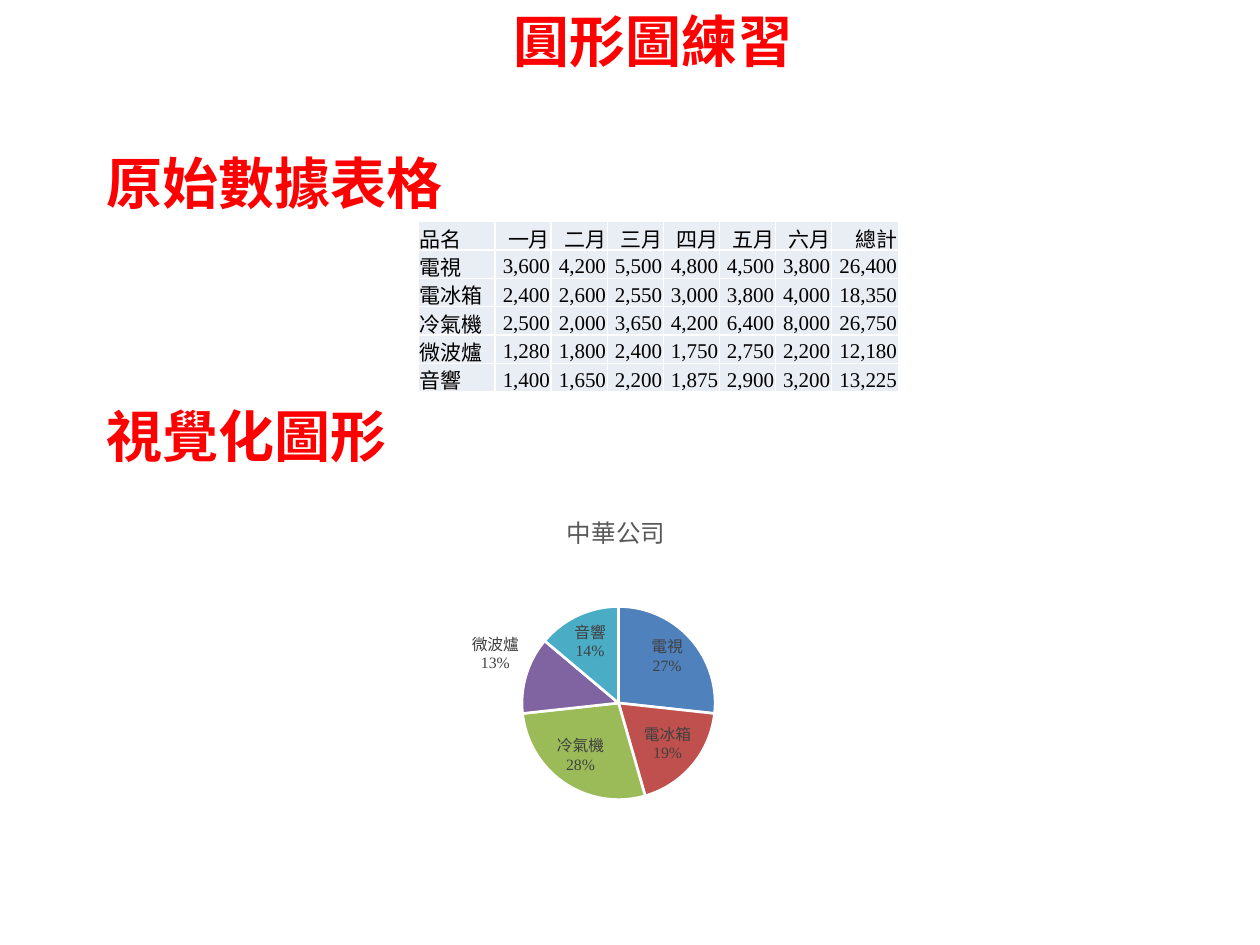
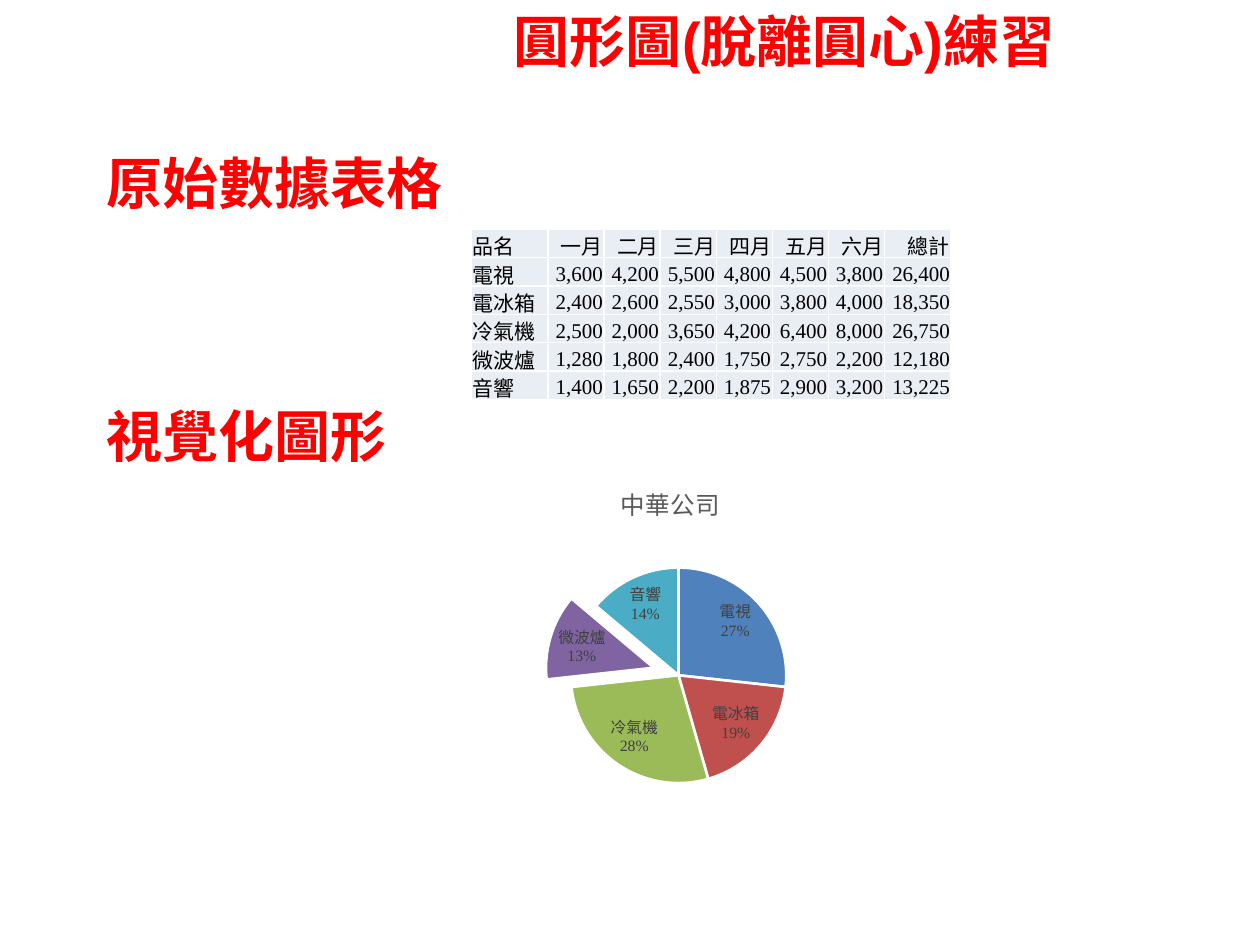
from pptx import Presentation
from pptx import util as u
from pptx.chart.data import CategoryChartData
from pptx.dml.color import RGBColor
from pptx.enum import chart as charts, text
from pptx.oxml import parse_xml
from pptx.oxml.ns import nsdecls, qn

RED, BLACK, WHITE = "FF0000", "000000", "FFFFFF"
CELL_FILL, TITLE_GRAY, LABEL_GRAY = "E9EDF4", "595959", "404040"
SLICE_COLORS = ["4F81BD", "C0504D", "9BBB59", "8064A2", "4BACC6"]
HEADING_FONT, DATA_FONT = "Arial", "Times New Roman"

HEADER = ["品名", "一月", "二月", "三月", "四月", "五月", "六月", "總計"]
SALES = {
    "電視": [3600, 4200, 5500, 4800, 4500, 3800],
    "電冰箱": [2400, 2600, 2550, 3000, 3800, 4000],
    "冷氣機": [2500, 2000, 3650, 4200, 6400, 8000],
    "微波爐": [1280, 1800, 2400, 1750, 2750, 2200],
    "音響": [1400, 1650, 2200, 1875, 2900, 3200],
}
SHARES = [27, 19, 28, 13, 14]
MICROWAVE = 3
TABLE_WIDTH, TABLE_HEIGHT = 3.81, 1.35
NAME_WIDTH, TOTAL_WIDTH = 0.61, 0.53


def rgb(value):
    """Turn a hex string into a colour."""
    return RGBColor.from_string(value)


def style_font(font, name, size, color, bold=False):
    """Set the look of a font."""
    font.name, font.size, font.bold = name, u.Pt(size), bold
    font.color.rgb = rgb(color)


def add_heading(page, words, left, top, width):
    """Add a bold red heading."""
    box = page.shapes.add_textbox(*map(u.Inches, (left, top, width, 0.64)))
    box.text_frame.word_wrap = True
    box.text_frame.auto_size = text.MSO_AUTO_SIZE.SHAPE_TO_FIT_TEXT
    para = box.text_frame.paragraphs[0]
    para.text = words
    style_font(para.font, HEADING_FONT, 32, RED, bold=True)


def add_borders(cell):
    """Give a cell thin white borders, ahead of its fill."""
    properties = cell._tc.get_or_add_tcPr()
    for index, side in enumerate(("lnL", "lnR", "lnT", "lnB")):
        properties.insert(index, parse_xml(
            f'<a:{side} {nsdecls("a")} w="12700"><a:solidFill>'
            f'<a:srgbClr val="{WHITE}"/></a:solidFill></a:{side}>'))


def fill_cell(cell, words, alignment):
    """Write and style one table cell."""
    cell.margin_left = cell.margin_right = cell.margin_top = u.Inches(0.01)
    cell.margin_bottom = 0
    cell.vertical_anchor = text.MSO_ANCHOR.BOTTOM
    cell.fill.solid()
    cell.fill.fore_color.rgb = rgb(CELL_FILL)
    add_borders(cell)
    para = cell.text_frame.paragraphs[0]
    para.text, para.alignment = words, alignment
    style_font(para.font, DATA_FONT, 12, BLACK)


def add_sales_table(page, left, top):
    """Add the monthly sales table with row totals."""
    rows = [HEADER] + [
        [name] + [f"{value:,}" for value in months + [sum(months)]]
        for name, months in SALES.items()]
    frame = page.shapes.add_table(
        len(rows), len(HEADER),
        *map(u.Inches, (left, top, TABLE_WIDTH, TABLE_HEIGHT)))
    table = frame.table
    table.first_row = table.horz_banding = False
    month_width = (TABLE_WIDTH - NAME_WIDTH - TOTAL_WIDTH) / 6
    widths = [NAME_WIDTH] + [month_width] * 6 + [TOTAL_WIDTH]
    for column, width in zip(table.columns, widths):
        column.width = u.Inches(width)
    for r, row in enumerate(rows):
        for c, words in enumerate(row):
            side = text.PP_ALIGN.RIGHT if c else text.PP_ALIGN.LEFT
            fill_cell(table.cell(r, c), words, side)


def place(element, index, **fractions):
    """Give a chart part a manual layout in fractions of the chart."""
    for layout in element.findall(qn("c:layout")):
        element.remove(layout)
    target = '<c:layoutTarget val="inner"/>' if "w" in fractions else ""
    modes = "".join(f'<c:{key}Mode val="edge"/>' for key in "xy")
    values = "".join(f'<c:{key} val="{value}"/>'
                     for key, value in fractions.items())
    element.insert(index, parse_xml(
        f'<c:layout {nsdecls("c")}><c:manualLayout>{target}{modes}{values}'
        '</c:manualLayout></c:layout>'))


def style_title(chart):
    """Write the chart title and place it."""
    para = chart.chart_title.text_frame.paragraphs[0]
    para.text = "中華公司"
    style_font(para.font, DATA_FONT, 14, TITLE_GRAY)
    place(chart.chart_title._element, 1, x=0.41, y=0.06)


def style_slices(series, explosion):
    """Colour the slices and pull the microwave slice out."""
    for index, color in enumerate(SLICE_COLORS):
        look = series.points[index].format
        look.fill.solid()
        look.fill.fore_color.rgb = rgb(color)
        look.line.color.rgb = rgb(WHITE)
        look.line.width = u.Pt(1.5)
    if explosion:
        point = series._element.findall(qn("c:dPt"))[MICROWAVE]
        point.find(qn("c:spPr")).addprevious(parse_xml(
            f'<c:explosion {nsdecls("c")} val="{explosion}"/>'))


def style_labels(series):
    """Show category over percentage on each slice."""
    labels = series.data_labels
    labels.show_value = False
    labels.show_category_name = labels.show_percentage = True
    labels.number_format, labels.number_format_is_linked = "0%", False
    labels.position = charts.XL_LABEL_POSITION.BEST_FIT
    style_font(labels.font, DATA_FONT, 9, LABEL_GRAY)
    labels._element.find(qn("c:showBubbleSize")).addnext(parse_xml(
        f'<c:separator {nsdecls("c")}>\n</c:separator>'))


def add_share_pie(page, left, top, plot, explosion):
    """Add the pie chart of sales shares."""
    data = CategoryChartData()
    data.categories = list(SALES)
    data.add_series("Series 1", SHARES)
    chart = page.shapes.add_chart(
        charts.XL_CHART_TYPE.PIE,
        *map(u.Inches, (left, top, 4.51, 2.95)), data).chart
    style_font(chart.font, DATA_FONT, 10, BLACK)
    chart.has_legend = False
    chart.plots[0].vary_by_categories = True
    style_title(chart)
    style_slices(chart.plots[0].series[0], explosion)
    style_labels(chart.plots[0].series[0])
    place(chart._chartSpace.chart.plotArea, 0, **plot)


def add_exercise(deck, title, title_width, table_at, pie_at, plot, explosion=0):
    """Add one exercise slide: headings, table and pie."""
    page = deck.slides.add_slide(deck.slide_layouts[6])
    add_heading(page, title, 3.98, 0, title_width)
    add_heading(page, "原始數據表格", 0.75, 1.13, 2.99)
    add_heading(page, "視覺化圖形", 0.75, 3.14, 2.99)
    add_sales_table(page, *table_at)
    add_share_pie(page, *pie_at, plot, explosion)


def main():
    """Build and save the deck."""
    deck = Presentation()
    deck.slide_width, deck.slide_height = u.Inches(10), u.Inches(7.5)
    add_exercise(deck, "圓形圖練習", 2.48, (3.32, 1.76), (2.61, 3.84),
                 dict(x=0.34, y=0.33, w=0.34, h=0.52))
    add_exercise(deck, "圓形圖(脫離圓心)練習", 4.96, (3.74, 1.82), (3.04, 3.62),
                 dict(x=0.33, y=0.3, w=0.38, h=0.58), explosion=24)
    deck.save("out.pptx")


main()
